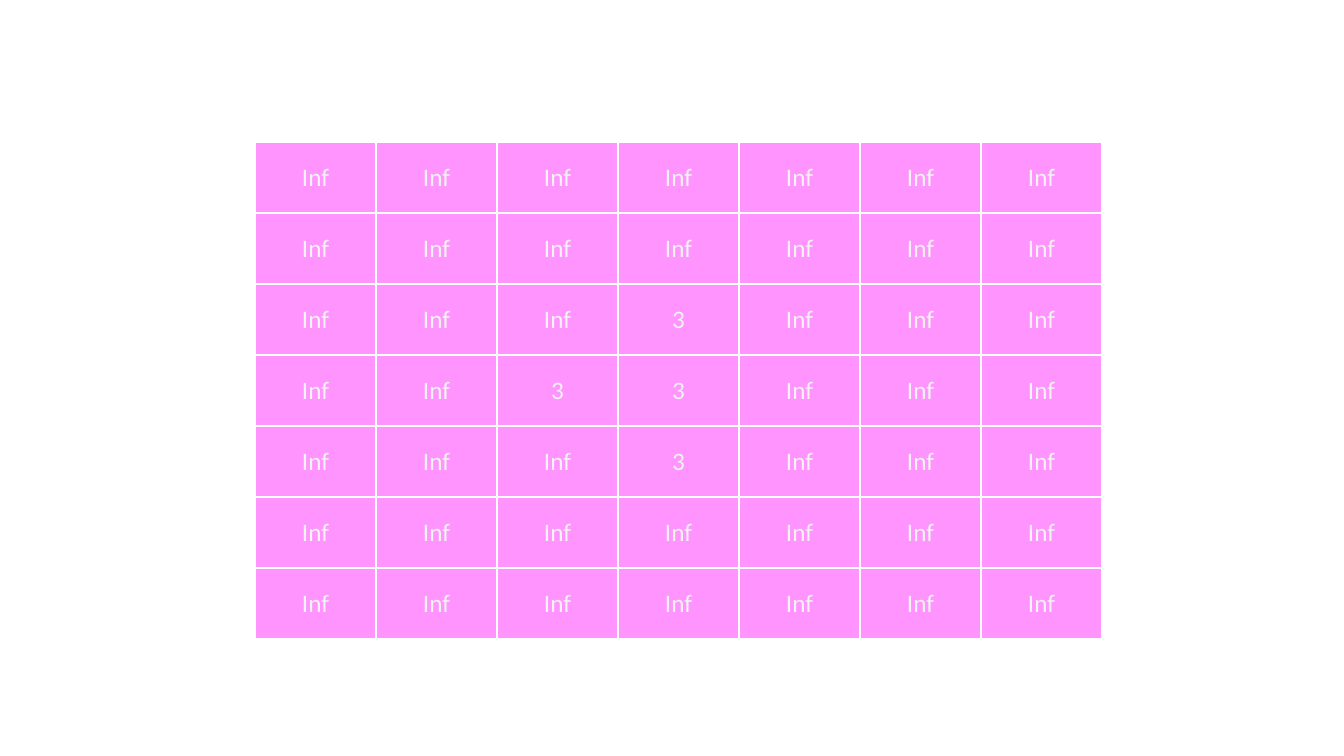
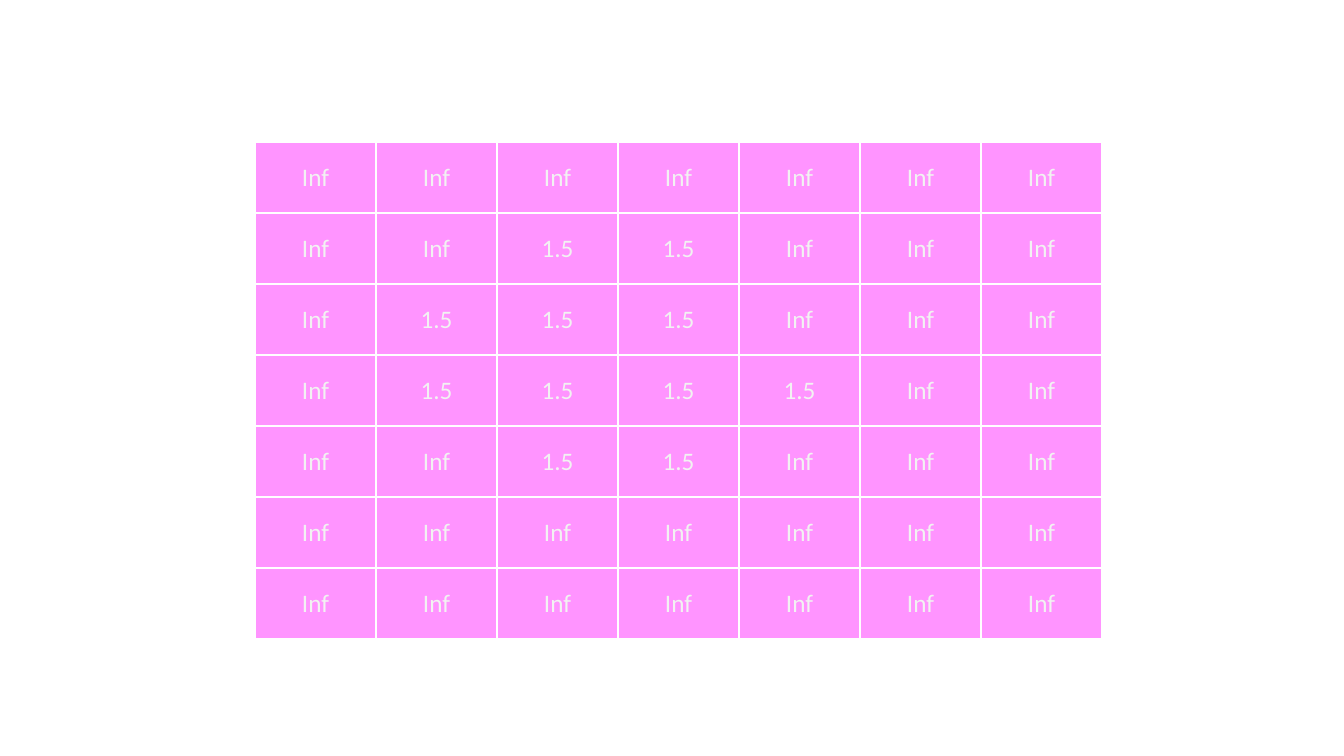
"""Build two slides, each showing a seven by seven grid of distances."""
from dataclasses import dataclass

from lxml import etree
from pptx import Presentation
from pptx.dml.color import RGBColor
from pptx.enum.text import MSO_ANCHOR, PP_ALIGN
from pptx.oxml.ns import qn
from pptx.util import Pt

CENTER = PP_ALIGN.CENTER
MIDDLE = MSO_ANCHOR.MIDDLE

GRID_SIZE = 7
DEFAULT_VALUE = "Inf"
GRIDS = [
    {"value": "3", "cells": {2: [3], 3: [2, 3], 4: [3]}},
    {"value": "1.5", "cells": {1: [2, 3], 2: [1, 2, 3], 3: [1, 2, 3, 4], 4: [2, 3]}},
]

SLIDE_WIDTH, SLIDE_HEIGHT = 1344, 756
TABLE_LEFT, TABLE_TOP = 255, 142
COLUMN_WIDTH, ROW_HEIGHT = 121, 71
EMU_PER_PX = 914400 / 100.8
BLANK_LAYOUT = 6


@dataclass(frozen=True)
class Theme:
    font: str = "Calibri"
    text_size: int = 18
    text: str = "F2F2F2"
    cell: str = "FF00FF"
    cell_opacity: int = 42
    border: str = "FFFFFF"
    border_width: int = 1


THEME = Theme()


def px(length):
    return round(length * EMU_PER_PX)


def write_text(cell, text, *, size=THEME.text_size, color=THEME.text, align=CENTER, anchor=MIDDLE):
    cell.vertical_anchor = anchor
    paragraph = cell.text_frame.paragraphs[0]
    paragraph.alignment = align
    run = paragraph.add_run()
    run.text = text
    run.font.name = THEME.font
    run.font.size = Pt(size)
    run.font.color.rgb = RGBColor.from_string(color)


def paint_cell(cell):
    cell.fill.solid()
    cell.fill.fore_color.rgb = RGBColor.from_string(THEME.cell)
    properties = cell._tc.get_or_add_tcPr()
    fill_color = properties.find(qn("a:solidFill")).find(qn("a:srgbClr"))
    etree.SubElement(fill_color, qn("a:alpha"), val=str(THEME.cell_opacity * 1000))
    for position, side in enumerate(("lnL", "lnR", "lnT", "lnB")):
        border = etree.Element(qn(f"a:{side}"), w=str(Pt(THEME.border_width)))
        border_fill = etree.SubElement(border, qn("a:solidFill"))
        etree.SubElement(border_fill, qn("a:srgbClr"), val=THEME.border)
        properties.insert(position, border)


def add_grid(slide, grid):
    table = slide.shapes.add_table(
        GRID_SIZE, GRID_SIZE, px(TABLE_LEFT), px(TABLE_TOP),
        px(GRID_SIZE * COLUMN_WIDTH), px(GRID_SIZE * ROW_HEIGHT),
    ).table
    table.first_row = False
    table.horz_banding = False
    for column in table.columns:
        column.width = px(COLUMN_WIDTH)
    for row_index, row in enumerate(table.rows):
        row.height = px(ROW_HEIGHT)
        reached_columns = grid["cells"].get(row_index, [])
        for column_index, cell in enumerate(row.cells):
            reached = column_index in reached_columns
            write_text(cell, grid["value"] if reached else DEFAULT_VALUE)
            paint_cell(cell)


def main():
    presentation = Presentation()
    presentation.slide_width = px(SLIDE_WIDTH)
    presentation.slide_height = px(SLIDE_HEIGHT)
    for grid in GRIDS:
        slide = presentation.slides.add_slide(presentation.slide_layouts[BLANK_LAYOUT])
        add_grid(slide, grid)
    presentation.save("out.pptx")


if __name__ == "__main__":
    main()
